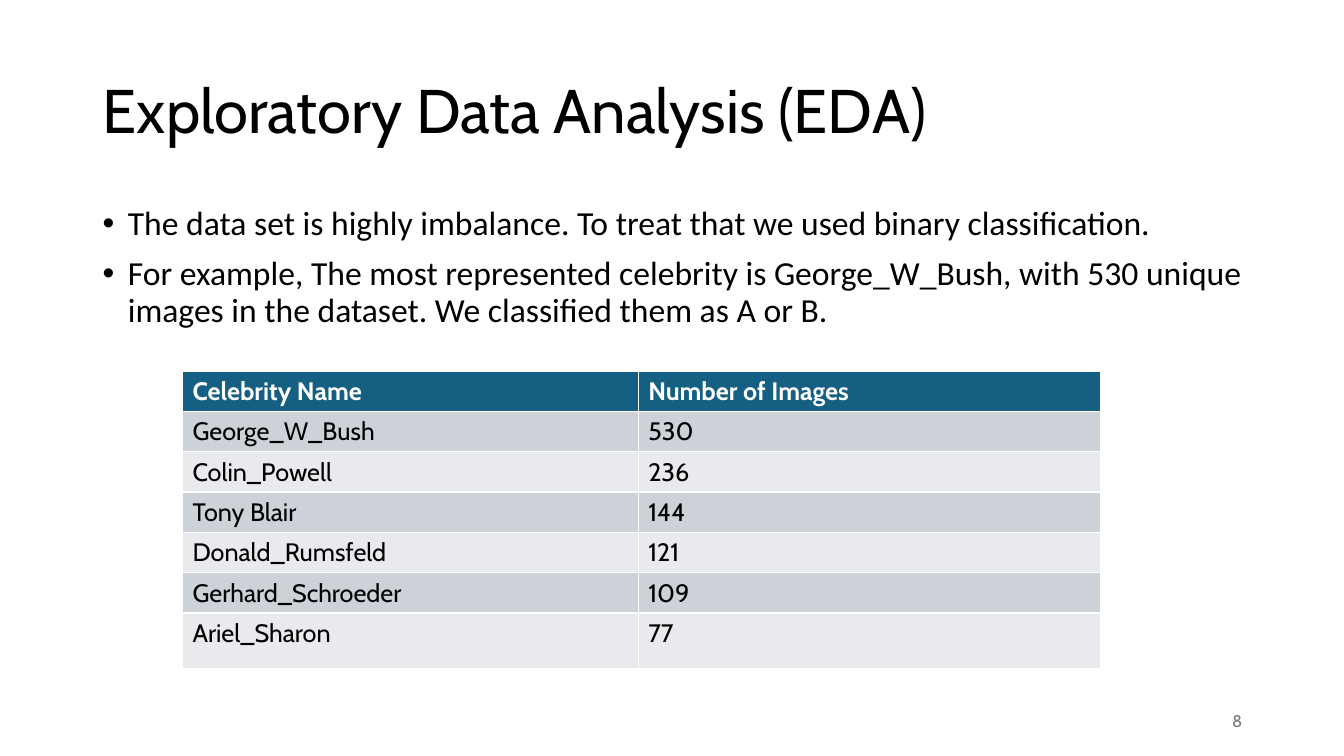
from lxml.etree import SubElement
from pptx import Presentation
from pptx.dml.color import RGBColor
from pptx.enum.text import MSO_ANCHOR, PP_ALIGN
from pptx.oxml.ns import qn
from pptx.util import Inches, Pt

BLACK = RGBColor(0x00, 0x00, 0x00)
WHITE = RGBColor(0xFF, 0xFF, 0xFF)
GREY = RGBColor(0x79, 0x79, 0x79)
HEADER_BLUE = RGBColor(0x15, 0x60, 0x82)
BANDS = [RGBColor(0xE8, 0xEA, 0xED), RGBColor(0xCC, 0xD2, 0xD8)]

FINDINGS = [
    "The data set is highly imbalance. To treat that we used binary classification.",
    "For example, The most represented celebrity is George_W_Bush, with 530 unique "
    "images in the dataset. We classified them as A or B.",
]
IMAGE_COUNTS = [
    ("Celebrity Name", "Number of Images"),
    ("George_W_Bush", "530"),
    ("Colin_Powell", "236"),
    ("Tony Blair", "144"),
    ("Donald_Rumsfeld", "121"),
    ("Gerhard_Schroeder", "109"),
    ("Ariel_Sharon", "77"),
]


def add_run(paragraph, text, size, color, font="Cabin", bold=False):
    run = paragraph.add_run()
    run.text = text
    run.font.name = font
    run.font.size = Pt(size)
    run.font.bold = bold
    run.font.color.rgb = color


prs = Presentation()
prs.slide_width = Inches(13.33)
prs.slide_height = Inches(7.5)
slide = prs.slides.add_slide(prs.slide_layouts[5])

# Title
title = slide.shapes.title
title.left, title.top = Inches(0.92), Inches(0.4)
title.width, title.height = Inches(11.5), Inches(1.45)
title.text_frame.vertical_anchor = MSO_ANCHOR.MIDDLE
heading = title.text_frame.paragraphs[0]
heading.alignment = PP_ALIGN.LEFT
heading.line_spacing = 0.9
add_run(heading, "Exploratory Data Analysis (EDA)", 44, BLACK)

# Findings
findings = slide.shapes.add_textbox(
    Inches(0.92), Inches(2), Inches(11.5), Inches(4.76)).text_frame
findings.word_wrap = True
for i, finding in enumerate(FINDINGS):
    paragraph = findings.add_paragraph() if i else findings.paragraphs[0]
    paragraph.line_spacing = 0.9
    paragraph.space_before = Pt(10)
    properties = paragraph._p.get_or_add_pPr()
    properties.set("marL", str(Inches(0.25)))
    properties.set("indent", str(Inches(-0.25)))
    SubElement(properties, qn("a:buFont")).set("typeface", "Arial")
    SubElement(properties, qn("a:buChar")).set("char", "•")
    add_run(paragraph, finding, 24, BLACK, font="Calibri")

# Slide number
number_box = slide.shapes.add_textbox(
    Inches(9.42), Inches(6.95), Inches(3), Inches(0.4)).text_frame
number_box.word_wrap = True
number_box.vertical_anchor = MSO_ANCHOR.MIDDLE
slide_number = number_box.paragraphs[0]
slide_number.alignment = PP_ALIGN.RIGHT
add_run(slide_number, "8", 12, GREY)

# Images per celebrity; white rules come from the default table style
counts = slide.shapes.add_table(
    len(IMAGE_COUNTS), 2, Inches(1.81), Inches(3.68), Inches(9.11), Inches(2.95)).table
counts.columns[0].width = Inches(4.52)
counts.columns[1].width = Inches(4.59)
for r, record in enumerate(IMAGE_COUNTS):
    is_header = r == 0
    is_last = r == len(IMAGE_COUNTS) - 1
    counts.rows[r].height = Inches(0.55 if is_last else 0.38)
    for c, value in enumerate(record):
        cell = counts.cell(r, c)
        cell.fill.solid()
        cell.fill.fore_color.rgb = HEADER_BLUE if is_header else BANDS[r % 2]
        add_run(cell.text_frame.paragraphs[0], value, 18,
                WHITE if is_header else BLACK, bold=is_header)

prs.save("out.pptx")
